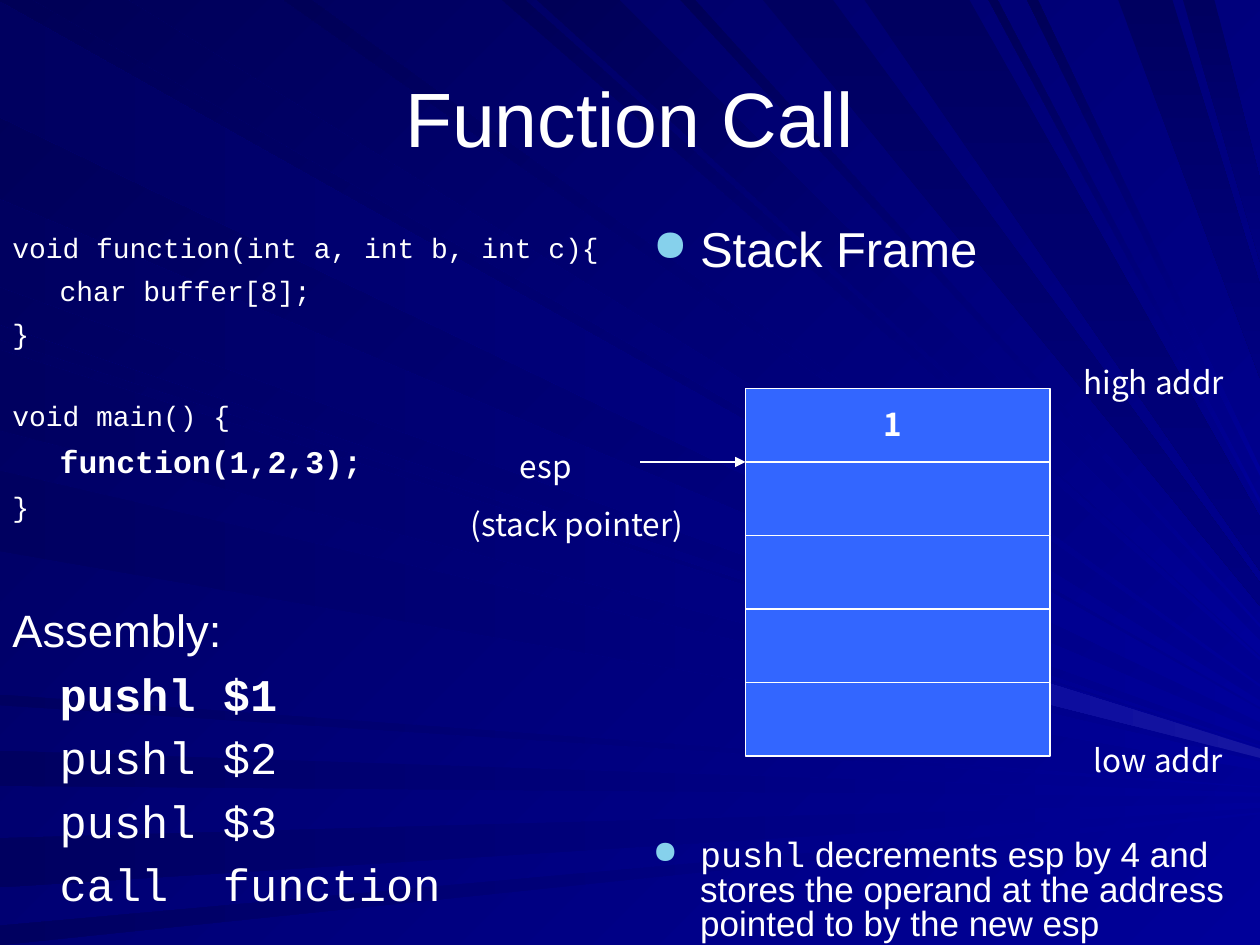
from lxml.etree import SubElement
from pptx import Presentation
from pptx.dml.color import RGBColor
from pptx.enum.shapes import MSO_CONNECTOR as Connector, MSO_SHAPE as Shape
from pptx.enum.text import MSO_ANCHOR as Anchor, PP_ALIGN as Align
from pptx.oxml.ns import qn
from pptx.util import Pt

WHITE = RGBColor(0xFF, 0xFF, 0xFF)
CELL_BLUE = RGBColor(0x33, 0x66, 0xFF)
BULLET_BLUE = RGBColor(0x86, 0xD1, 0xEC)
BRIGHT = RGBColor(0x00, 0x00, 0x99)
NAVY = RGBColor(0x00, 0x00, 0x80)
GLOW = RGBColor(0x16, 0x16, 0xA1)
DEEP = RGBColor(0x00, 0x00, 0x60)
DARK = RGBColor(0x00, 0x00, 0x57)

SANS, MONO, LABEL = "Arial", "Courier New", "Noto Sans CJK KR"
DIAGONAL, LEFTWARD, DOWNWARD = 135, 180, 270
SLIDE_WIDTH, SLIDE_HEIGHT = 720, 540
FOCUS_X, FOCUS_Y = 810, 456
INDENT = 27
CELL_LEFT, CELL_TOP, CELL_WIDTH, CELL_HEIGHT, CELL_COUNT = 426, 222, 174, 42, 5

LEFT_RAYS = [(1, 67), (114, 164), (186, 194), (200, 246), (269, 315), (397, 403),
             (429, 449), (479, 507), (529, 540)]
TOP_RAYS = [(19, 73), (162, 178), (287, 300), (307, 354), (389, 397), (565, 570), (587, 593)]
SHADED_TOP_RAYS = [(436, 476), (494, 554), (639, 670), (676, 694)]
GLOW_RAY, GLOW_START = (204, 250), 0.56


def paint(fill, start, end, angle):
    if start == end:
        fill.solid()
        fill.fore_color.rgb = start
        return
    fill.gradient()
    fill.gradient_angle = angle
    for stop, color in zip(fill.gradient_stops, (start, end)):
        stop.color.rgb = color


def toward_focus(x, y, share):
    return Pt(x + (FOCUS_X - x) * share), Pt(y + (FOCUS_Y - y) * share)


def add_ray(page, edge, start, end, angle, near=0):
    first, second = edge
    reach = [(SLIDE_WIDTH - x) / (FOCUS_X - x) for x, y in edge]
    corners = [toward_focus(*first, near), toward_focus(*first, reach[0]),
               toward_focus(*second, reach[1]), toward_focus(*second, near)]
    builder = page.shapes.build_freeform(*corners[0])
    builder.add_line_segments(corners[1:])
    ray = builder.convert_to_shape()
    ray.shadow.inherit = False
    ray.line.fill.background()
    paint(ray.fill, start, end, angle)


def add_rays(page):
    for band in LEFT_RAYS:
        add_ray(page, [(0, y) for y in band], BRIGHT, DEEP, LEFTWARD)
    for band in TOP_RAYS:
        add_ray(page, [(x, 0) for x in band], BRIGHT, DARK, DIAGONAL)
    for band in SHADED_TOP_RAYS:
        add_ray(page, [(x, 0) for x in band], DEEP, NAVY, DOWNWARD)
    add_ray(page, [(0, y) for y in GLOW_RAY], GLOW, BRIGHT, LEFTWARD, GLOW_START)


def add_bullet(para):
    properties = para._p.get_or_add_pPr()
    properties.set("marL", str(Pt(INDENT)))
    properties.set("indent", str(-Pt(INDENT)))
    color = SubElement(properties, qn("a:buClr"))
    SubElement(color, qn("a:srgbClr"), val=str(BULLET_BLUE))
    SubElement(properties, qn("a:buSzPct"), val="90000")
    SubElement(properties, qn("a:buChar"), char="●")


def style(font, name, size, bold=False):
    font.name, font.size, font.bold = name, Pt(size), bold
    font.color.rgb = WHITE


def add_text(page, left, top, width, height, text, name, size, bold=False):
    box = page.shapes.add_textbox(Pt(left), Pt(top), Pt(width), Pt(height))
    box.text_frame.word_wrap = True
    para = box.text_frame.paragraphs[0]
    para.text = text
    style(para.font, name, size, bold)
    return box.text_frame


def add_line(frame, text, name, size, before, margin=0, bold=False):
    para = frame.add_paragraph()
    para.text = text
    para._p.get_or_add_pPr().set("marL", str(Pt(margin)))
    para.space_before = Pt(before)
    style(para.font, name, size, bold)


def add_bulleted(page, top, height, spans, size, spacing):
    frame = add_text(page, 366, top, 354, height, "", SANS, size)
    para = frame.paragraphs[0]
    add_bullet(para)
    para.line_spacing = spacing
    for text, name in spans:
        span = para.add_run()
        span.text = text
        style(span.font, name, size)


def add_cell(page, index):
    cell = page.shapes.add_shape(Shape.RECTANGLE, Pt(CELL_LEFT), Pt(CELL_TOP + index * CELL_HEIGHT),
                                 Pt(CELL_WIDTH), Pt(CELL_HEIGHT))
    cell.shadow.inherit = False
    paint(cell.fill, CELL_BLUE, CELL_BLUE, 0)
    cell.line.color.rgb = WHITE
    cell.line.width = Pt(0.75)


def add_arrow(page, left, right, level):
    arrow = page.shapes.add_connector(Connector.STRAIGHT, Pt(left), Pt(level), Pt(right), Pt(level))
    arrow.line.color.rgb = WHITE
    arrow.line.width = Pt(0.75)
    SubElement(arrow.line._get_or_add_ln(), qn("a:tailEnd"), type="triangle")
    SubElement(arrow._element.spPr, qn("a:effectLst"))


def add_source_code(page):
    frame = add_text(page, 0, 128, 354, 198, "void function(int a, int b, int c){", MONO, 16)
    add_line(frame, "char buffer[8];", MONO, 16, 5.4, INDENT)
    add_line(frame, "}", MONO, 16, 5.4)
    add_line(frame, "void main() {", MONO, 16, 28)
    add_line(frame, "function(1,2,3);", MONO, 18, 5.4, INDENT, True)
    add_line(frame, "}", MONO, 16, 5.4)


def add_assembly(page):
    frame = add_text(page, 0, 344, 354, 196, "Assembly:", SANS, 25.9)
    for text in ("pushl $1", "pushl $2", "pushl $3", "call  function"):
        add_line(frame, text, MONO, 25.9, 8.4, INDENT, text == "pushl $1")
    for para in frame.paragraphs:
        para.line_spacing = 0.9


def add_stack(page):
    for index in range(CELL_COUNT):
        add_cell(page, index)
    add_text(page, 612, 204, 108, 28.8, "high addr", LABEL, 18)
    add_text(page, 618, 420, 102, 28.8, "low addr", LABEL, 18)
    add_text(page, 498, 228, 24, 28.8, "1", LABEL, 18, True)
    pointer = add_text(page, 258, 252, 144, 62, "esp", LABEL, 18)
    pointer.paragraphs[0]._p.get_or_add_pPr().set("marL", str(Pt(32)))
    add_line(pointer, "(stack pointer)", LABEL, 18, 11.2, 4)
    add_arrow(page, 366, CELL_LEFT, CELL_TOP + CELL_HEIGHT)


def main():
    deck = Presentation()
    deck.slide_width, deck.slide_height = Pt(SLIDE_WIDTH), Pt(SLIDE_HEIGHT)
    page = deck.slides.add_slide(deck.slide_layouts[6])
    paint(page.background.fill, BRIGHT, DARK, DIAGONAL)
    add_rays(page)
    title = add_text(page, 36, 21.6, 648, 90, "Function Call", SANS, 44)
    title.vertical_anchor = Anchor.MIDDLE
    title.paragraphs[0].alignment = Align.CENTER
    add_bulleted(page, 128, 40, [("Stack Frame", SANS)], 28, 0.8)
    explanation = " decrements esp by 4 and stores the operand at the address pointed to by the new esp"
    add_bulleted(page, 476.6, 63.4, [("pushl", MONO), (explanation, SANS)], 20, 0.82)
    add_stack(page)
    add_source_code(page)
    add_assembly(page)
    deck.save("out.pptx")


if __name__ == "__main__":
    main()
